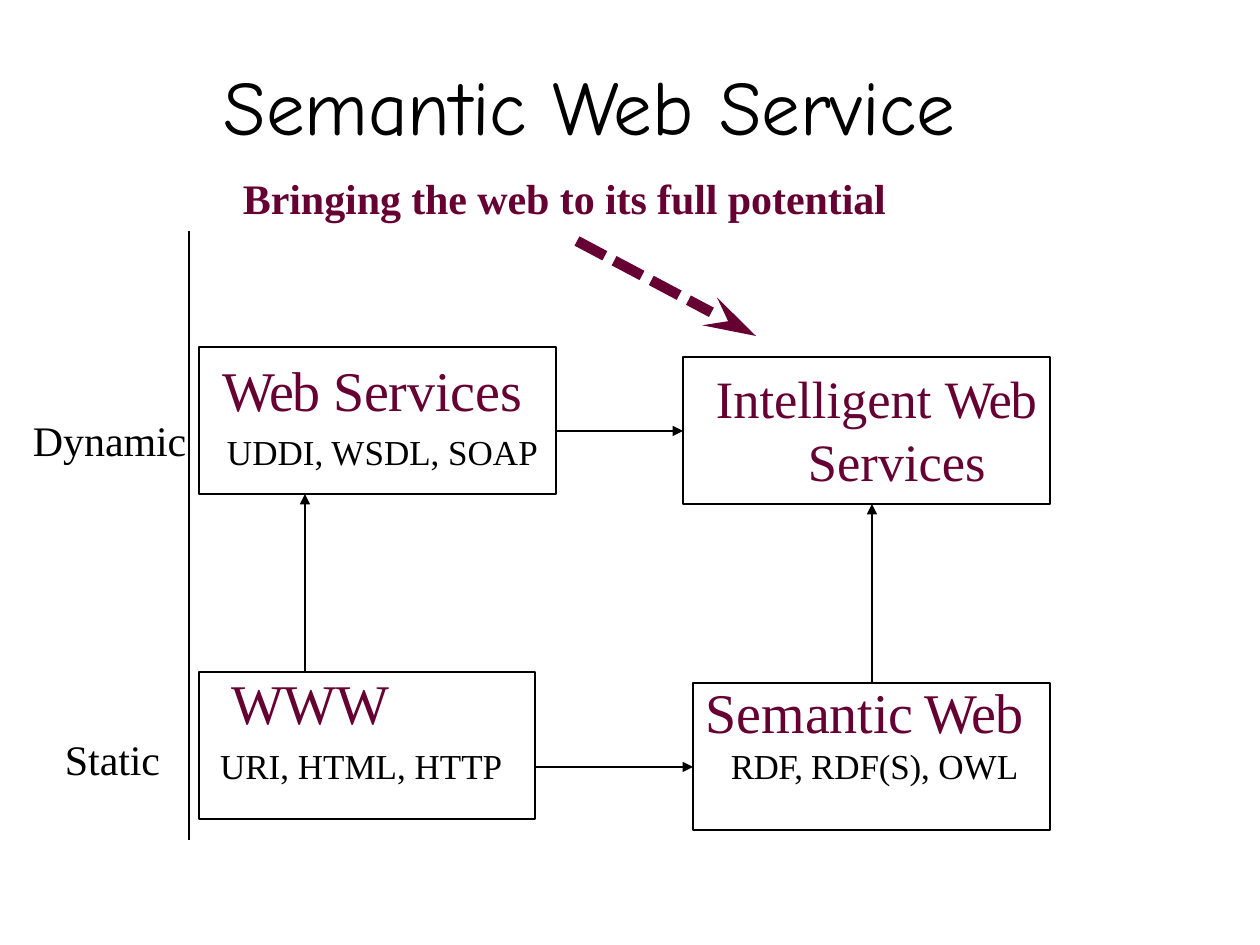
from lxml import etree
from pptx import Presentation
from pptx.dml.color import RGBColor
from pptx.enum.dml import MSO_LINE
from pptx.enum.shapes import MSO_CONNECTOR, MSO_SHAPE
from pptx.enum.text import MSO_ANCHOR, PP_ALIGN
from pptx.oxml.ns import qn
from pptx.util import Pt

STRAIGHT = MSO_CONNECTOR.STRAIGHT
RECTANGLE = MSO_SHAPE.RECTANGLE
TOP = MSO_ANCHOR.TOP
LEFT = PP_ALIGN.LEFT
DOTTED = MSO_LINE.SQUARE_DOT

BLACK = RGBColor(0x00, 0x00, 0x00)
PLUM = RGBColor(0x66, 0x00, 0x33)
SERIF = "Times New Roman"
CASUAL = "Comic Neue"
TITLE_ONLY = 5
EMU_PER_PX = 914400 / 126


def px(length):
    return round(length * EMU_PER_PX)


def place(shape, left, top, width, height):
    shape.left, shape.top = px(left), px(top)
    shape.width, shape.height = px(width), px(height)


def prepare_frame(shape, inset_top):
    frame = shape.text_frame
    frame.word_wrap = True
    frame.vertical_anchor = TOP
    frame.margin_left = frame.margin_right = frame.margin_bottom = 0
    frame.margin_top = px(inset_top)
    return frame


def write(para, spans, size, color=BLACK, font=SERIF, bold=False,
          margin=1, indent=0, before=0, line=None):
    para.alignment = LEFT
    para.space_before = Pt(before)
    if line:
        para.line_spacing = Pt(line)
    properties = para._p.get_or_add_pPr()
    properties.set("marL", str(px(margin)))
    properties.set("indent", str(px(indent)))
    for text, tracking in spans:
        span = para.add_run()
        span.text = text
        span.font.size = Pt(size)
        span.font.name = font
        span.font.bold = bold
        span.font.color.rgb = color
        span._r.get_or_add_rPr().set("spc", str(tracking))


def add_title(page):
    title = page.shapes.title
    place(title, 223, 58, 823, 96)
    para = prepare_frame(title, 1).paragraphs[0]
    spans = [("Semantic ", -10), ("Web ", 0), ("Service", -10)]
    write(para, spans, 44, font=CASUAL, before=1)


def add_label(page, bounds, text, **style):
    box = page.shapes.add_textbox(0, 0, 0, 0)
    place(box, *bounds)
    para = prepare_frame(box, 1).paragraphs[0]
    write(para, [(text, -5)], 24, before=1, **style)


def add_panel(page, bounds, heading, details=None, inset_top=0):
    panel = page.shapes.add_shape(RECTANGLE, 0, 0, 0, 0)
    place(panel, *bounds)
    panel.shadow.inherit = False
    panel.fill.background()
    panel.line.color.rgb = BLACK
    panel.line.width = Pt(1.5)
    frame = prepare_frame(panel, inset_top)
    write(frame.paragraphs[0], color=PLUM, **heading)
    if details:
        write(frame.add_paragraph(), size=20, **details)


def add_line(page, start, end, width=0.75, color=BLACK, head=None,
             head_length="med", dash=None):
    line = page.shapes.add_connector(STRAIGHT, *map(px, start + end))
    line.line.color.rgb = color
    line.line.width = Pt(width)
    if dash:
        line.line.dash_style = dash
    if head:
        etree.SubElement(line.line._get_or_add_ln(), qn("a:tailEnd"),
                         type=head, w="med", len=head_length)
    etree.SubElement(line._element.spPr, qn("a:effectLst"))


def add_panels(page):
    add_panel(page, (199, 347, 357, 147),
              dict(spans=[("Web ", -80), ("Services", -10)], size=32,
                   margin=23, before=5),
              dict(spans=[("UDDI, WSDL, SOAP", 0)], margin=28, before=4),
              inset_top=9)
    add_panel(page, (199, 672, 336, 147),
              dict(spans=[("WWW", 0)], size=32, margin=32, line=36.5),
              dict(spans=[("URI, HTML, HTTP", 0)], margin=21, before=4.8))
    add_panel(page, (693, 683, 357, 147),
              dict(spans=[("Semantic", -10), (" Web", -80)], size=32,
                   margin=13, line=35),
              dict(spans=[("RDF, ", -40), ("RDF(S), ", -10), ("OWL", 0)],
                   margin=38, before=0.3))
    add_panel(page, (683, 357, 367, 147),
              dict(spans=[("Intelligent ", 0), ("Web ", -80),
                          ("Services", 0)],
                   size=30, margin=125, indent=-92, before=5),
              inset_top=9)


def main():
    deck = Presentation()
    deck.slide_width, deck.slide_height = px(1260), px(945)
    page = deck.slides.add_slide(deck.slide_layouts[TITLE_ONLY])
    add_title(page)
    add_label(page, (242, 171, 650, 54),
              "Bringing the web to its full potential", color=PLUM, bold=True)
    add_label(page, (64, 733, 100, 54), "Static")
    add_label(page, (32, 413, 157, 54), "Dynamic")
    add_line(page, (189, 231), (189, 840))
    add_panels(page)
    for start, end in [((305, 672), (305, 494)), ((872, 683), (872, 504)),
                       ((556, 431), (683, 431)), ((535, 767), (693, 767))]:
        add_line(page, start, end, head="triangle")
    add_line(page, (577, 241), (756, 336), width=6, color=PLUM,
             head="stealth", head_length="lg", dash=DOTTED)
    deck.save("out.pptx")


if __name__ == "__main__":
    main()
